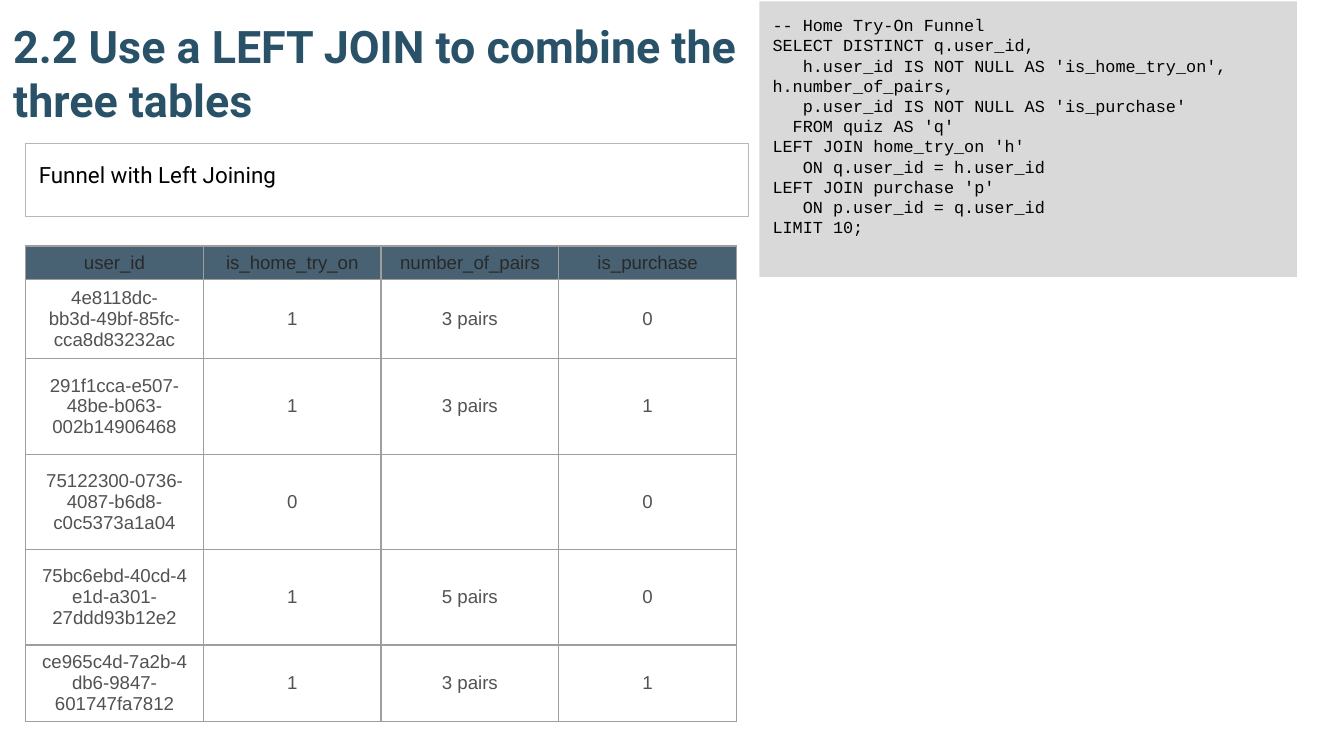
from dataclasses import dataclass
from typing import Optional

from lxml.etree import SubElement
from pptx import Presentation
from pptx.dml.color import RGBColor
from pptx.enum.shapes import MSO_SHAPE
from pptx.enum.text import MSO_ANCHOR, PP_ALIGN
from pptx.oxml import parse_xml
from pptx.oxml.ns import nsdecls, qn
from pptx.slide import Slide
from pptx.util import Inches, Pt

HUES = {
    "title": "295269", "code": "D9D9D9", "frame": "B7B7B7", "black": "000000",
    "grid": "9E9E9E", "head": "204056", "label": "292929", "body": "525252",
}

QUERY = """-- Home Try-On Funnel
SELECT DISTINCT q.user_id,
   h.user_id IS NOT NULL AS 'is_home_try_on',
h.number_of_pairs,
   p.user_id IS NOT NULL AS 'is_purchase'
  FROM quiz AS 'q'
LEFT JOIN home_try_on 'h'
   ON q.user_id = h.user_id
LEFT JOIN purchase 'p'
   ON p.user_id = q.user_id
LIMIT 10;"""

ROWS = [
    ("user_id", "is_home_try_on", "number_of_pairs", "is_purchase"),
    ("4e8118dc-bb3d-49bf-85fc-cca8d83232ac", "1", "3 pairs", "0"),
    ("291f1cca-e507-48be-b063-002b14906468", "1", "3 pairs", "1"),
    ("75122300-0736-4087-b6d8-c0c5373a1a04", "0", "", "0"),
    ("75bc6ebd-40cd-4e1d-a301-27ddd93b12e2", "1", "5 pairs", "0"),
    ("ce965c4d-7a2b-4db6-9847-601747fa7812", "1", "3 pairs", "1"),
]
HEIGHTS = [0.25, 0.59, 0.71, 0.71, 0.71, 0.57]


@dataclass
class Panel:
    """A rectangle or text box and the look of its text."""
    text: str
    left: float
    top: float
    width: float
    height: float
    font: str
    size: float
    hue: str = "black"
    bold: bool = False
    fill: Optional[str] = None
    line: Optional[str] = None
    anchor: MSO_ANCHOR = MSO_ANCHOR.TOP
    space: float = 1.0


PANELS = [
    Panel("2.2 Use a LEFT JOIN to combine the three tables", 0, 0.67, 6.23, 0.37,
          "Roboto", 24, "title", bold=True, anchor=MSO_ANCHOR.BOTTOM),
    Panel(QUERY, 5.65, 0.01, 4, 2.05, "Courier New", 9, fill="code"),
    Panel("Funnel with Left Joining", 0.19, 1.07, 5.38, 0.54, "Roboto", 12,
          line="frame", space=1.15),
]


def color(name: str) -> RGBColor:
    """Look up a named colour."""
    return RGBColor.from_string(HUES[name])


def style(para, font: str, size: float, hue: str, bold: bool = False) -> None:
    """Set the font of a paragraph."""
    para.font.name, para.font.size, para.font.bold = font, Pt(size), bold
    para.font.color.rgb = color(hue)


def draw_panel(slide: Slide, panel: Panel) -> None:
    """Draw one panel with its text."""
    area = [Inches(n) for n in (panel.left, panel.top, panel.width, panel.height)]
    if panel.fill or panel.line:
        shape = slide.shapes.add_shape(MSO_SHAPE.RECTANGLE, *area)
        shape.shadow.inherit = False
    else:
        shape = slide.shapes.add_textbox(*area)
    if panel.fill:
        shape.fill.solid()
        shape.fill.fore_color.rgb = color(panel.fill)
    else:
        shape.fill.background()
    if panel.line:
        shape.line.color.rgb = color(panel.line)
        shape.line.width = Pt(0.75)
    else:
        shape.line.fill.background()
    frame = shape.text_frame
    frame.word_wrap = True
    frame.vertical_anchor = panel.anchor
    frame.margin_left = frame.margin_right = Inches(0.1)
    frame.margin_top = frame.margin_bottom = Inches(0.1)
    frame.text = panel.text
    for para in frame.paragraphs:
        para.alignment = PP_ALIGN.LEFT
        para.line_spacing = panel.space
        style(para, panel.font, panel.size, panel.hue, panel.bold)


def draw_cell(cell, text: str, head: bool) -> None:
    """Fill, frame and label one table cell."""
    cell.text = text
    cell.vertical_anchor = MSO_ANCHOR.MIDDLE
    cell.margin_top = cell.margin_bottom = Inches(0.03)
    para = cell.text_frame.paragraphs[0]
    para.alignment = PP_ALIGN.CENTER
    style(para, "Arial", 10, "label" if head else "body")
    props = cell._tc.get_or_add_tcPr()
    if head:
        cell.fill.solid()
        cell.fill.fore_color.rgb = color("head")
        SubElement(props.find(".//" + qn("a:srgbClr")), qn("a:alpha"), val="82000")
    else:
        cell.fill.background()
    for spot, side in enumerate("LRTB"):
        props.insert(spot, parse_xml(
            f'<a:ln{side} {nsdecls("a")} w="{Pt(0.75)}"><a:solidFill>'
            f'<a:srgbClr val="{HUES["grid"]}"/></a:solidFill></a:ln{side}>'))


def draw_table(slide: Slide) -> None:
    """Draw the table of joined rows."""
    table = slide.shapes.add_table(
        len(ROWS), len(ROWS[0]), Inches(0.19), Inches(1.83),
        Inches(5.29), Inches(sum(HEIGHTS))).table
    table.first_row = table.horz_banding = False
    for column in table.columns:
        column.width = Inches(5.29 / len(ROWS[0]))
    for row, (texts, height) in enumerate(zip(ROWS, HEIGHTS)):
        table.rows[row].height = Inches(height)
        for col, text in enumerate(texts):
            draw_cell(table.cell(row, col), text, row == 0)


def main() -> None:
    """Build and save the slide."""
    deck = Presentation()
    deck.slide_width = Inches(10)
    deck.slide_height = Inches(10 * 9 / 16)
    slide = deck.slides.add_slide(deck.slide_layouts[6])
    for panel in PANELS:
        draw_panel(slide, panel)
    draw_table(slide)
    deck.save("out.pptx")


if __name__ == "__main__":
    main()
